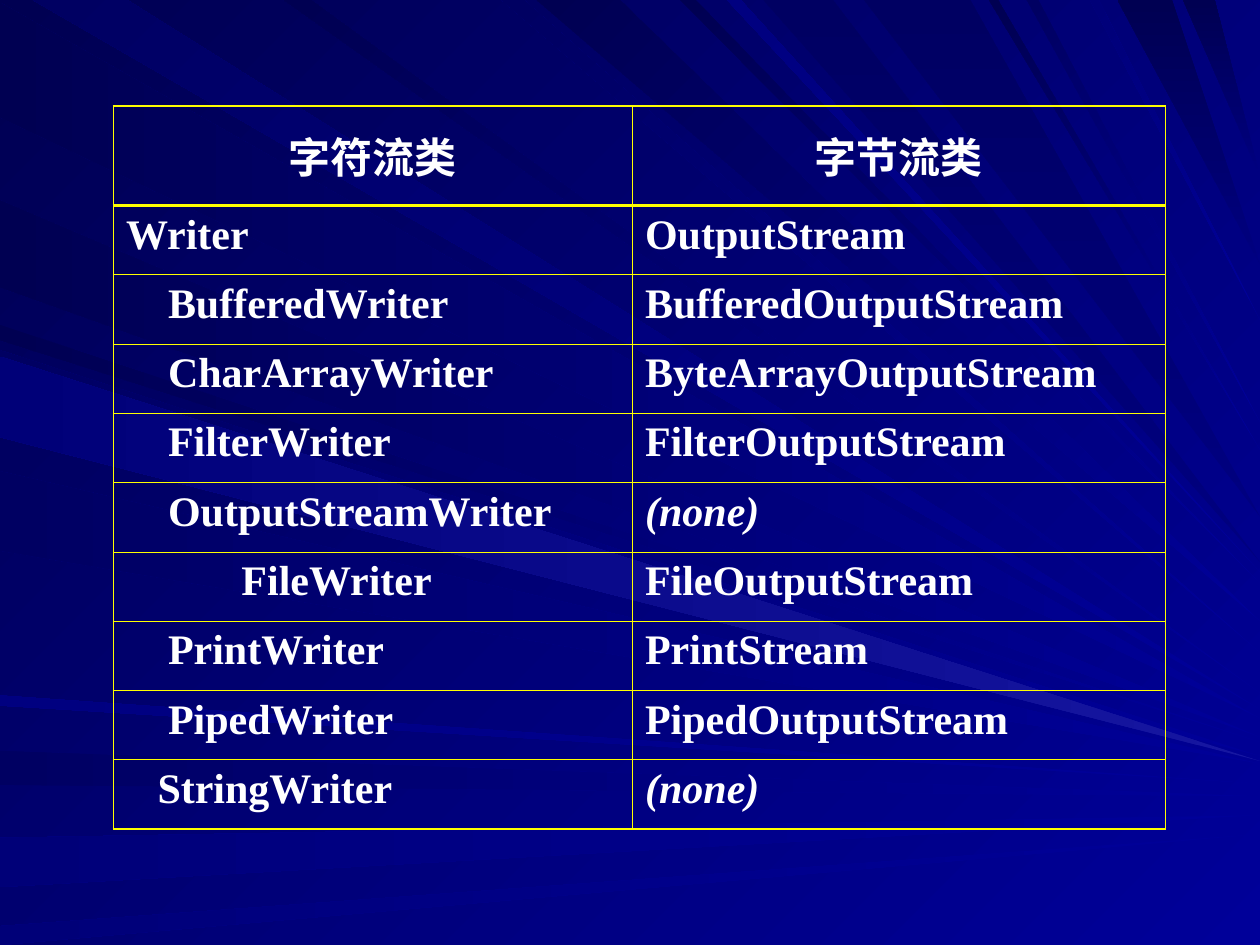
from lxml import etree
from pptx import Presentation
from pptx import util as u
from pptx.dml.color import RGBColor
from pptx.enum import text
from pptx.oxml.ns import qn

WHITE = RGBColor(0xFF, 0xFF, 0xFF)
YELLOW = RGBColor(0xFF, 0xFF, 0x00)
GLOW = RGBColor(0x16, 0x16, 0xA1)
BRIGHT = RGBColor(0x00, 0x00, 0x99)
MID = RGBColor(0x00, 0x00, 0x80)
SOFT = RGBColor(0x00, 0x00, 0x78)
DIM = RGBColor(0x00, 0x00, 0x62)
DEEP = RGBColor(0x00, 0x00, 0x52)

HEAD = ("字符流类", "字节流类")
# Indent steps, character stream, byte stream
ROWS = [
    (0, "Writer", "OutputStream"),
    (4, "BufferedWriter", "BufferedOutputStream"),
    (4, "CharArrayWriter", "ByteArrayOutputStream"),
    (4, "FilterWriter", "FilterOutputStream"),
    (4, "OutputStreamWriter", "(none)"),
    (11, "FileWriter", "FileOutputStream"),
    (4, "PrintWriter", "PrintStream"),
    (4, "PipedWriter", "PipedOutputStream"),
    (3, "StringWriter", "(none)"),
]
STEP = u.Pt(6)
COLS = (4.12, 4.23)
HEAD_H, ROW_H = 0.79, 0.55
FONT = {"name": "Times New Roman", "size": u.Pt(24), "bold": True}
THIN, EDGE, RULE = 0.45, 1.08, 1.47

# Rays run from a span of the left or top edge to a height on the right edge.
# Side, gradient angle, colour at the right end, then (from, to, height, colour)
WIDE = 10
FANS = [
    ("left", 180, BRIGHT, [
        (0.02, 0.93, 5.7, DEEP),
        (5.96, 6.23, 6.32, DIM),
        (6.65, 7.04, 6.47, SOFT),
        (7.35, 7.5, 6.62, SOFT),
        (2.58, 2.7, 5.89, DEEP),
        (1.59, 2.28, 5.85, DEEP),
        (2.78, 3.42, 6, DIM),
        (3.74, 4.37, 6.06, DIM),
        (5.52, 5.6, 6.22, MID),
    ]),
    ("top", 225, BRIGHT, [
        (0.26, 1.01, 5.63, DIM),
        (3.98, 4.16, 5.18, DIM),
        (4.26, 4.92, 4.93, DEEP),
        (5.4, 5.52, 4.63, DEEP),
        (2.25, 2.47, 5.5, DEEP),
        (5.77, 5.88, 4.54, MID),
        (7.85, 7.92, 3.57, DEEP),
        (8.15, 8.24, 3.35, DIM),
        (8.65, 8.72, 2.54, SOFT),
    ]),
    ("top", 270, MID, [
        (6.06, 6.61, 4.46, DIM),
        (6.86, 7.7, 4.1, DIM),
        (8.87, 9.3, 2.1, DEEP),
        (9.39, 9.64, 1.4, DEEP),
    ]),
    ("left", 180, GLOW, [(2.83, 3.47, 6.04, SOFT)]),
]


def paint(fill, start, end, angle):
    fill.gradient()
    fill.gradient_angle = 360 - angle
    for stop, color in zip(fill.gradient_stops, (start, end)):
        stop.color.rgb = color


def add_rays(shapes, side, angle, near, rays):
    for low, high, tip, far in rays:
        base = [(0, v) if side == "left" else (v, 0) for v in (low, high)]
        points = [(u.Inches(x), u.Inches(y)) for x, y in base + [(WIDE, tip)]]
        pen = shapes.build_freeform(*points[0])
        pen.add_line_segments(points[1:], close=True)
        ray = pen.convert_to_shape()
        ray.shadow.inherit = False
        ray.line.fill.background()
        paint(ray.fill, near, far, angle)


def set_borders(cell, widths):
    """Draw yellow cell borders; widths maps L, R, T, B, in that order, to points."""
    props = cell._tc.get_or_add_tcPr()
    for i, (side, width) in enumerate(widths.items()):
        line = etree.Element(qn(f"a:ln{side}"), w=str(u.Pt(width)))
        fill = etree.SubElement(line, qn("a:solidFill"))
        etree.SubElement(fill, qn("a:srgbClr"), val=str(YELLOW))
        props.insert(i, line)


def write(cell, words, indent, head):
    cell.fill.background()
    cell.vertical_anchor = text.MSO_ANCHOR.MIDDLE if head else text.MSO_ANCHOR.TOP
    para = cell.text_frame.paragraphs[0]
    para.alignment = text.PP_ALIGN.CENTER if head else text.PP_ALIGN.LEFT
    props = para._p.get_or_add_pPr()
    props.set("marL", str(indent * STEP))
    props.set("indent", "0")
    run = para.add_run()
    run.text = words
    for key, value in FONT.items():
        setattr(run.font, key, value)
    run.font.italic = words == "(none)"
    run.font.color.rgb = WHITE


def add_streams(shapes):
    grid = [(0, *HEAD)] + ROWS
    last = len(grid) - 1
    size = (sum(COLS), HEAD_H + ROW_H * last)
    frame = shapes.add_table(len(grid), len(COLS), *map(u.Inches, (0.9, 0.84, *size)))
    table = frame.table
    table.first_row = table.horz_banding = False
    for col, width in zip(table.columns, COLS):
        col.width = u.Inches(width)
    for r, (indent, *names) in enumerate(grid):
        table.rows[r].height = u.Inches(ROW_H if r else HEAD_H)
        for c, words in enumerate(names):
            cell = table.cell(r, c)
            write(cell, words, 0 if c else indent, r == 0)
            set_borders(cell, {
                "L": THIN if c else EDGE,
                "R": EDGE if c else THIN,
                "T": {0: EDGE, 1: RULE}.get(r, THIN),
                "B": {0: RULE, last: EDGE}.get(r, THIN),
            })


def main():
    deck = Presentation()
    deck.slide_width, deck.slide_height = u.Inches(WIDE), u.Inches(7.5)
    slide = deck.slides.add_slide(deck.slide_layouts[6])
    paint(slide.background.fill, BRIGHT, DEEP, 225)
    group = slide.shapes.add_group_shape().shapes
    for fan in FANS:
        add_rays(group, *fan)
    add_streams(slide.shapes)
    deck.save("out.pptx")


if __name__ == "__main__":
    main()
